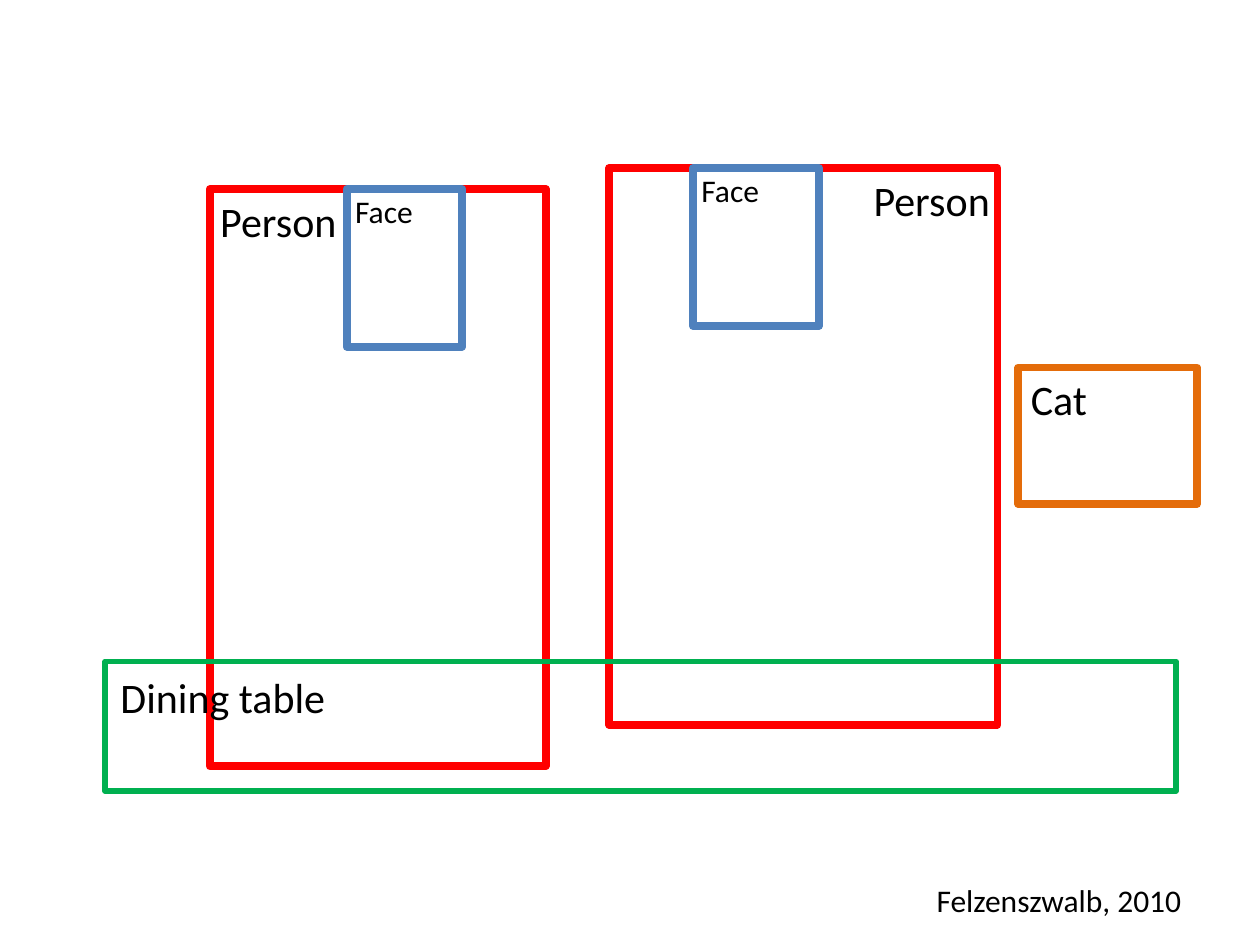
from pptx import Presentation
from pptx.dml.color import RGBColor
from pptx.enum.shapes import MSO_SHAPE as Kind
from pptx.enum.text import MSO_AUTO_SIZE as Fit
from pptx.util import Cm, Pt

RED = RGBColor(0xFF, 0x00, 0x00)
GREEN = RGBColor(0x00, 0xB0, 0x50)
BLUE = RGBColor(0x4F, 0x81, 0xBD)
ORANGE = RGBColor(0xE4, 0x6C, 0x0A)
BLACK = RGBColor(0x00, 0x00, 0x00)


def add_frame(slide, left, top, width, height, color, weight=4.5):
    frame = slide.shapes.add_shape(
        Kind.RECTANGLE, Cm(left), Cm(top), Cm(width), Cm(height))
    frame.shadow.inherit = False
    frame.fill.background()
    frame.line.color.rgb = color
    frame.line.width = Pt(weight)


def add_label(slide, text, left, top, width, size=24):
    height = 1.27 if size == 24 else 1.02
    box = slide.shapes.add_textbox(Cm(left), Cm(top), Cm(width), Cm(height))
    body = box.text_frame
    body.word_wrap = True
    body.auto_size = Fit.SHAPE_TO_FIT_TEXT
    run = body.paragraphs[0].add_run()
    run.text = text
    run.font.name = "Calibri"
    run.font.size = Pt(size)
    run.font.color.rgb = BLACK


def add_face(slide, left, top, width):
    add_frame(slide, left, top, width, 3.18, BLUE)
    add_label(slide, "Face", left - 0.08, top - 0.07, 2.12, 18)


def main():
    deck = Presentation()
    deck.slide_width = Cm(25.4)
    deck.slide_height = Cm(19.05)
    slide = deck.slides.add_slide(deck.slide_layouts[6])

    add_frame(slide, 4.23, 3.81, 6.77, 11.64, RED)
    add_frame(slide, 12.28, 3.39, 7.83, 11.22, RED)
    add_frame(slide, 2.12, 13.33, 21.59, 2.62, GREEN, 3)

    add_label(slide, "Person", 4.19, 3.81, 6.35)
    add_label(slide, "Person", 17.36, 3.39, 6.35)
    add_label(slide, "Dining table", 2.18, 13.41, 6.35)
    add_label(slide, "Felzenszwalb, 2010", 18.63, 17.63, 5.93, 18)

    add_face(slide, 6.99, 3.81, 2.33)
    add_face(slide, 13.97, 3.39, 2.54)

    add_frame(slide, 20.53, 7.41, 3.6, 2.75, ORANGE)
    add_label(slide, "Cat", 20.53, 7.41, 3.18)

    deck.save("out.pptx")


if __name__ == "__main__":
    main()
